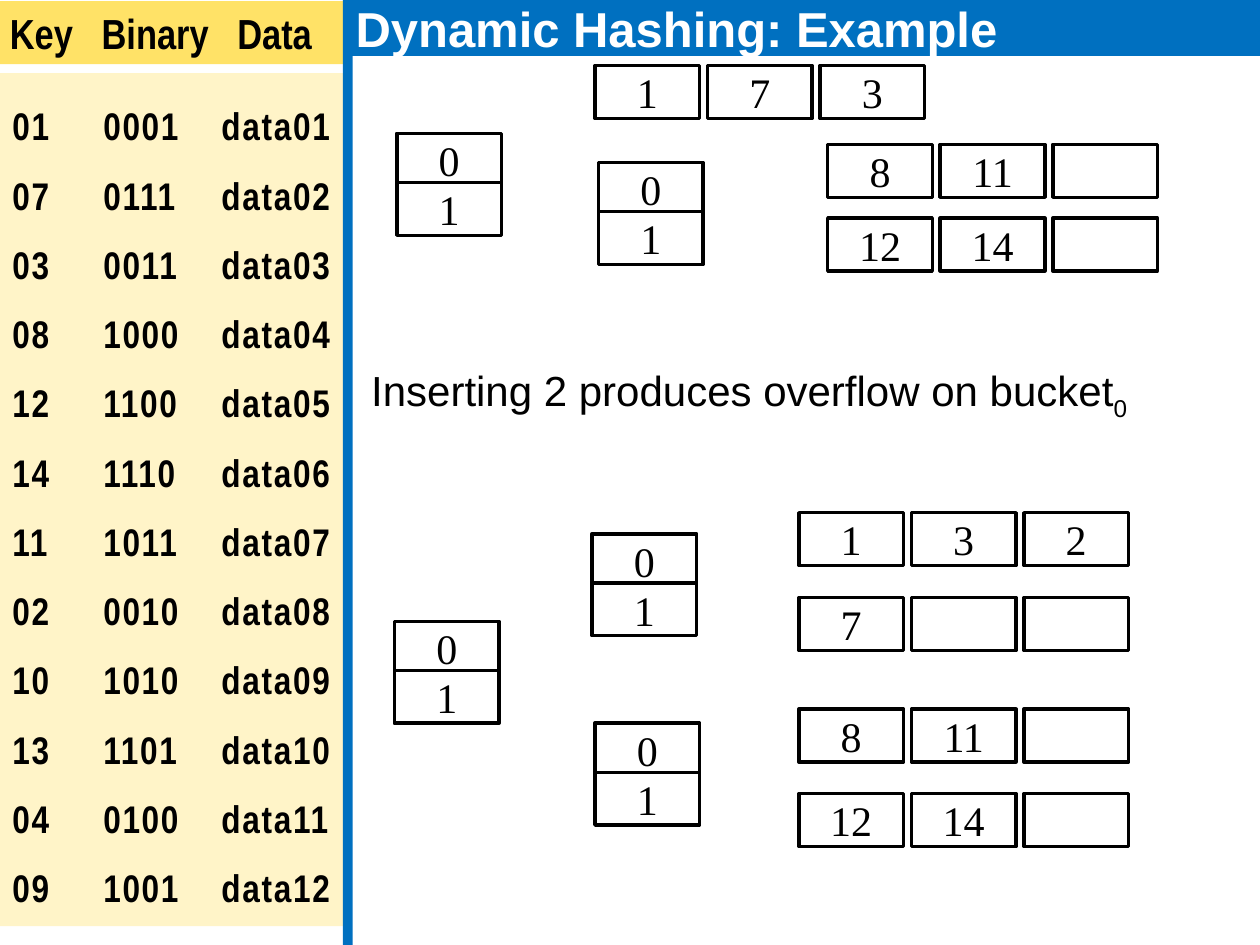
from dataclasses import dataclass

from lxml.etree import SubElement
from pptx import Presentation
from pptx.dml.color import RGBColor
from pptx.enum.shapes import MSO_SHAPE as Shape
from pptx.enum.text import MSO_ANCHOR as Anchor, MSO_AUTO_SIZE as AutoSize, PP_ALIGN as Align
from pptx.oxml.ns import qn
from pptx.util import Pt

BLACK = RGBColor(0x00, 0x00, 0x00)
WHITE = RGBColor(0xFF, 0xFF, 0xFF)
BLUE = RGBColor(0x00, 0x70, 0xC0)
CREAM = RGBColor(0xFF, 0xF4, 0xC8)
YELLOW = RGBColor(0xFF, 0xE2, 0x67)

TITLE_FONT = dict(name="Arial", size=Pt(28), bold=True)
KEY_FONT = dict(name="Arial Narrow", size=Pt(22), bold=True)
HEADER_FONT = dict(name="Arial Narrow", size=Pt(24), bold=True)
NOTE_FONT = dict(name="Arial", size=Pt(24))
CELL_FONT = dict(name="Times New Roman", size=Pt(24))

CELL_W, CELL_H = 59.8, 30.2
BUCKET_STEP, DIRECTORY_STEP = 64.3, 28.1


@dataclass
class CellGroup:
    """Cells that run right (a bucket) or down (a directory)."""
    left: float
    top: float
    labels: tuple[str, ...]
    dx: float = 0
    dy: float = 0


def bucket(left: float, top: float, *labels: str) -> CellGroup:
    return CellGroup(left, top, labels, dx=BUCKET_STEP)


def directory(left: float, top: float) -> CellGroup:
    return CellGroup(left, top, ("0", "1"), dy=DIRECTORY_STEP)


GROUPS = [
    # before the insertion
    directory(226.8, 76.2),
    directory(342, 92.8),
    bucket(340, 37.5, "1", "7", "3"),
    bucket(473, 82.6, "8", "11", ""),
    bucket(473, 124.6, "12", "14", ""),
    # after the insertion
    directory(225.4, 355),
    directory(338.3, 305),
    directory(340, 413.2),
    bucket(456.5, 293, "1", "3", "2"),
    bucket(456.5, 341.5, "7", "", ""),
    bucket(456.5, 405.2, "8", "11", ""),
    bucket(456.5, 453.5, "12", "14", ""),
]

HEADER = ("Key", "Binary", "Data")
KEYS = (1, 7, 3, 8, 12, 14, 11, 2, 10, 13, 4, 9)
ROWS = [(f"{key:02d}", f"{key:04b}", f"data{n:02d}") for n, key in enumerate(KEYS, 1)]


def add_run(p, text: str, style: dict, color: RGBColor = BLACK):
    r = p.add_run()
    r.text = text
    for name, value in style.items():
        setattr(r.font, name, value)
    r.font.color.rgb = color
    return r


def add_rect(slide, left: float, top: float, width: float, height: float, fill: RGBColor):
    s = slide.shapes.add_shape(Shape.RECTANGLE, Pt(left), Pt(top), Pt(width), Pt(height))
    s.shadow.inherit = False
    s.fill.solid()
    s.fill.fore_color.rgb = fill
    s.line.fill.background()
    return s


def add_rows(s, rows: list[tuple[str, ...]], tabs: tuple[float, ...], style: dict,
             line_spacing: float = 1.0, tracking: float = 0) -> None:
    """Write tab-aligned rows of text into a panel."""
    tf = s.text_frame
    tf.word_wrap = True
    tf.vertical_anchor = Anchor.TOP
    tf.margin_right = 0
    for i, row in enumerate(rows):
        p = tf.add_paragraph() if i else tf.paragraphs[0]
        p.alignment = Align.LEFT
        p.line_spacing = line_spacing
        tab_list = SubElement(p._p.get_or_add_pPr(), qn("a:tabLst"))
        for pos in tabs:
            SubElement(tab_list, qn("a:tab"), pos=str(Pt(pos)), algn="l")
        r = add_run(p, "\t".join(row), style)
        if tracking:
            r._r.get_or_add_rPr().set("spc", str(int(tracking * 100)))


def add_cells(slide, group: CellGroup) -> None:
    for i, label in enumerate(group.labels):
        s = add_rect(slide, group.left + i * group.dx, group.top + i * group.dy,
                     CELL_W, CELL_H, WHITE)
        s.line.color.rgb = BLACK
        s.line.width = Pt(2)
        if label:
            tf = s.text_frame
            tf.word_wrap = False
            tf.vertical_anchor = Anchor.MIDDLE
            p = tf.paragraphs[0]
            p.alignment = Align.CENTER
            add_run(p, label, CELL_FONT)


def add_title(slide, text: str) -> None:
    s = slide.shapes.title
    s.left, s.top, s.width, s.height = Pt(196), Pt(0), Pt(524), Pt(32)
    s.fill.solid()
    s.fill.fore_color.rgb = BLUE
    tf = s.text_frame
    tf.auto_size = AutoSize.NONE
    tf.vertical_anchor = Anchor.MIDDLE
    p = tf.paragraphs[0]
    p.alignment = Align.LEFT
    add_run(p, text, TITLE_FONT, WHITE)


def add_note(slide, text: str, subscript: str) -> None:
    s = slide.shapes.add_textbox(Pt(205), Pt(205), Pt(469), Pt(36))
    s.text_frame.word_wrap = True
    p = s.text_frame.paragraphs[0]
    p.alignment = Align.JUSTIFY
    add_run(p, text, NOTE_FONT)
    r = add_run(p, subscript, NOTE_FONT)
    r._r.get_or_add_rPr().set("baseline", "-25000")


def main() -> None:
    prs = Presentation()
    prs.slide_width, prs.slide_height = Pt(720), Pt(540)
    slide = prs.slides.add_slide(prs.slide_layouts[5])

    add_title(slide, "Dynamic Hashing: Example")
    key_panel = add_rect(slide, 0, 41.8, 198.7, 487.4, CREAM)
    add_rows(key_panel, ROWS, (52, 119.5), KEY_FONT, line_spacing=1.5, tracking=1)
    header = add_rect(slide, -1.5, 0.7, 197.5, 36, YELLOW)
    add_rows(header, [HEADER], (52.5, 130), HEADER_FONT)
    add_rect(slide, 196, 0.5, 5.5, 540, BLUE)
    add_note(slide, "Inserting 2 produces overflow on bucket", "0")
    for group in GROUPS:
        add_cells(slide, group)

    prs.save("out.pptx")


if __name__ == "__main__":
    main()
